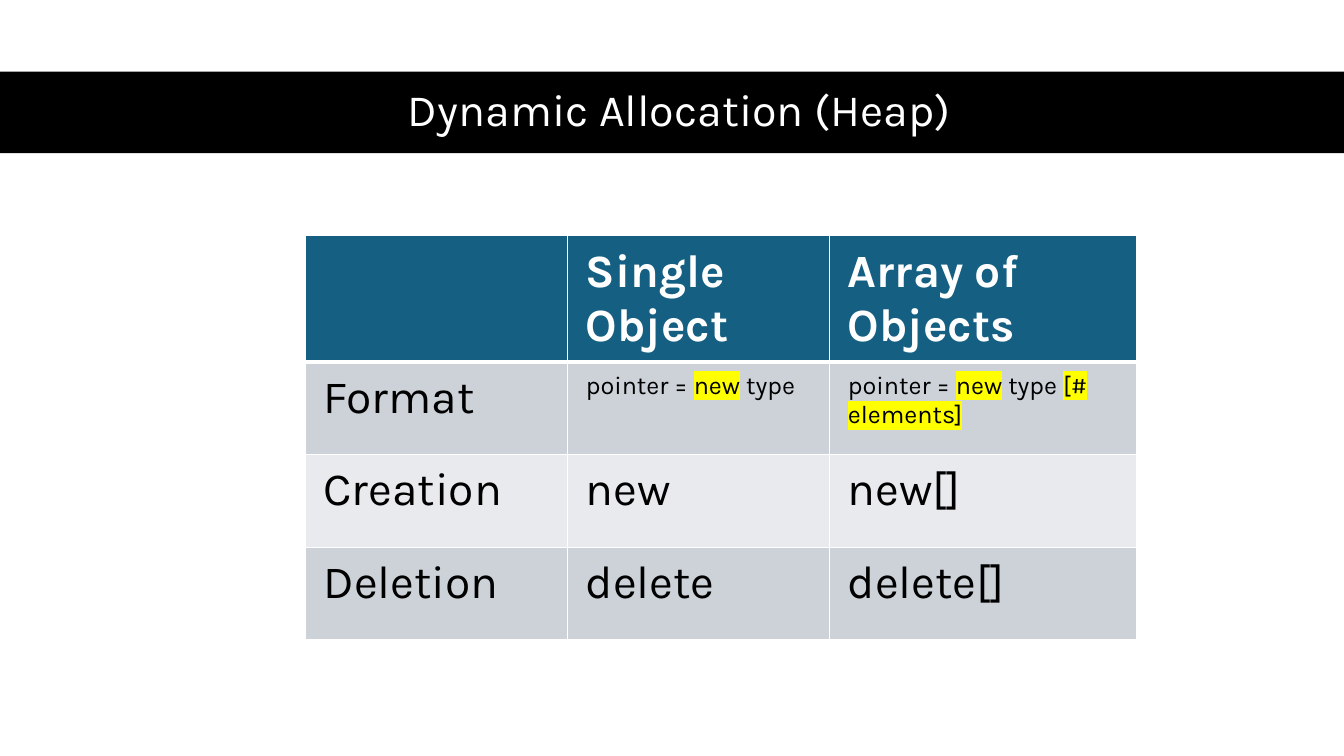
from lxml import etree
from pptx import Presentation
from pptx.dml.color import RGBColor
from pptx.enum.shapes import MSO_SHAPE
from pptx.enum.text import MSO_ANCHOR, MSO_AUTO_SIZE, PP_ALIGN
from pptx.oxml.ns import qn
from pptx.util import Inches, Pt

RECT = MSO_SHAPE.RECTANGLE
MIDDLE = MSO_ANCHOR.MIDDLE
FIXED = MSO_AUTO_SIZE.NONE
CENTER = PP_ALIGN.CENTER

BLACK = RGBColor(0, 0, 0)
WHITE = RGBColor(255, 255, 255)
YELLOW = RGBColor(255, 255, 0)
BLUE = RGBColor(0x15, 0x60, 0x82)
GRAY = RGBColor(0xCC, 0xD2, 0xD8)
PALE = RGBColor(0xE8, 0xEA, 0xED)

FONT = "Karla"
COLS = (2.6, 2.6, 3.04)
ROWS = (1.24, 0.92, 0.92, 0.92)
MARK = "|"
CELLS = (
    ("", "Single Object", "Array of Objects"),
    ("Format", "pointer = |new| type", "pointer = |new| type |[# elements]"),
    ("Creation", "new", "new[]"),
    ("Deletion", "delete", "delete[]"),
)


def style(run, size, color, bold=False):
    font = run.font
    font.name = FONT
    font.size = Pt(size)
    font.bold = bold
    font.color.rgb = color


def add_color(parent, color):
    etree.SubElement(parent, qn("a:srgbClr"), val=str(color))


def highlight(run):
    glow = etree.Element(qn("a:highlight"))
    add_color(glow, YELLOW)
    run.font._element.find(qn("a:latin")).addprevious(glow)


def set_lines(cell, row):
    props = cell._tc.get_or_add_tcPr()
    widths = (1, 1, 3 if row == 1 else 1, 3 if row == 0 else 1)
    for place, (side, width) in enumerate(zip("LRTB", widths)):
        line = etree.Element(qn("a:ln" + side), w=str(Pt(width)))
        add_color(etree.SubElement(line, qn("a:solidFill")), WHITE)
        props.insert(place, line)


def fill_cell(cell, text, row):
    cell.fill.solid()
    cell.fill.fore_color.rgb = BLUE if row == 0 else GRAY if row % 2 else PALE
    cell.margin_left = cell.margin_right = Inches(0.18)
    cell.margin_top = cell.margin_bottom = Inches(0.09)
    set_lines(cell, row)
    if not text:
        return
    para = cell.text_frame.paragraphs[0]
    for index, part in enumerate(text.split(MARK)):
        run = para.add_run()
        run.text = part
        style(run, 18 if MARK in text else 33, BLACK if row else WHITE, row == 0)
        if index % 2:
            highlight(run)


def add_grid(slide, left, top):
    frame = slide.shapes.add_table(
        len(ROWS), len(COLS), left, top, Inches(sum(COLS)), Inches(sum(ROWS))
    )
    table = frame.table
    for col, width in zip(table.columns, COLS):
        col.width = Inches(width)
    for row, height in enumerate(ROWS):
        table.rows[row].height = Inches(height)
        for col, text in enumerate(CELLS[row]):
            fill_cell(table.cell(row, col), text, row)


def add_banner(slide, left, top, width, height):
    bar = slide.shapes.add_shape(RECT, left, top, width, height)
    bar.shadow.inherit = False
    bar.fill.solid()
    bar.fill.fore_color.rgb = BLACK
    bar.line.fill.background()
    title = slide.shapes.title
    title._element.addprevious(bar._element)
    title.left, title.top = left + Inches(0.61), top
    title.width, title.height = Inches(12.26), height
    frame = title.text_frame
    frame.text = "Dynamic Allocation (Heap)"
    frame.auto_size = FIXED
    frame.vertical_anchor = MIDDLE
    para = frame.paragraphs[0]
    para.alignment = CENTER
    para.line_spacing = 0.9
    style(para.runs[0], 32, WHITE)


def main():
    deck = Presentation()
    deck.slide_width = Inches(13.33)
    deck.slide_height = Inches(7.5)
    slide = deck.slides.add_slide(deck.slide_layouts[5])
    add_banner(slide, 0, Inches(0.71), deck.slide_width, Inches(0.81))
    add_grid(slide, Inches(3.03), Inches(2.34))
    deck.save("out.pptx")


if __name__ == "__main__":
    main()
